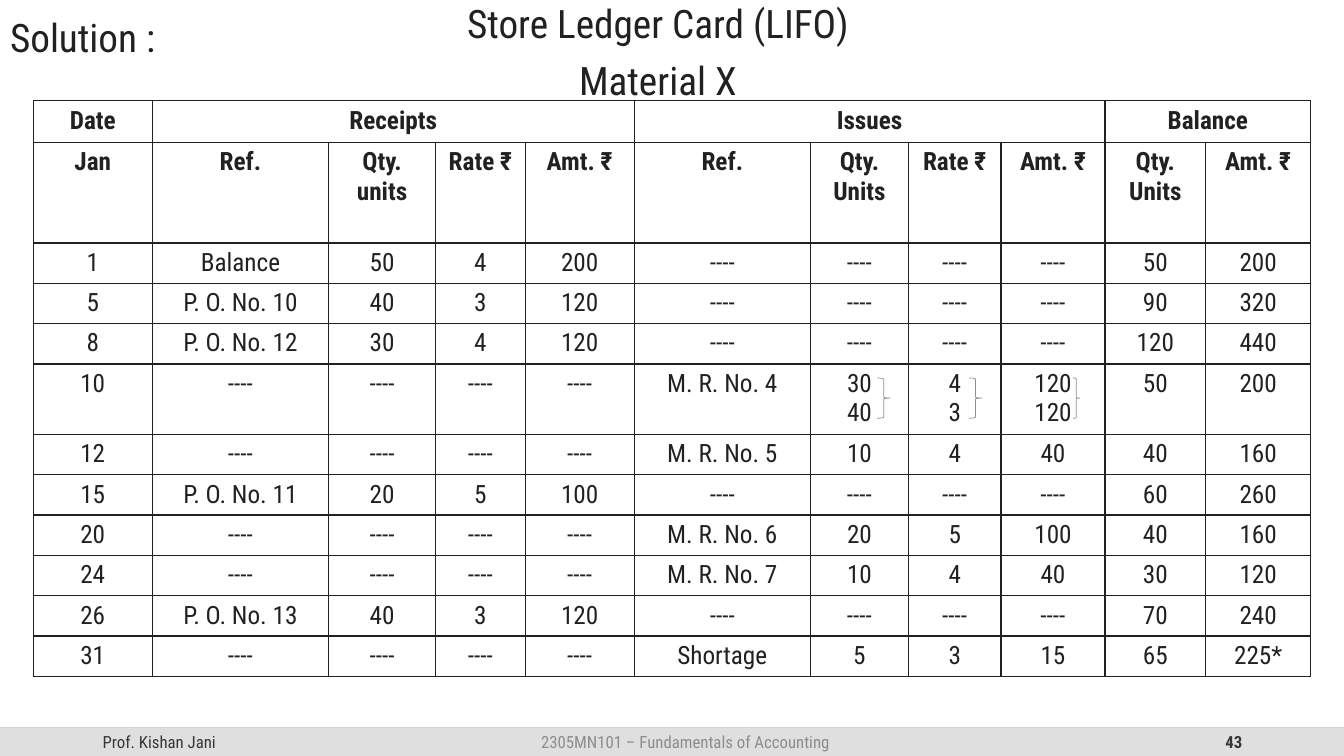
from itertools import accumulate

from lxml import etree
from pptx import Presentation
from pptx.dml.color import RGBColor
from pptx.enum.shapes import MSO_CONNECTOR, MSO_SHAPE
from pptx.enum.text import MSO_ANCHOR, MSO_AUTO_SIZE, PP_ALIGN
from pptx.oxml.ns import qn
from pptx.util import Emu, Pt

LEFT, CENTER, RIGHT = PP_ALIGN.LEFT, PP_ALIGN.CENTER, PP_ALIGN.RIGHT
TOP, MIDDLE = MSO_ANCHOR.TOP, MSO_ANCHOR.MIDDLE
NO_FIT = MSO_AUTO_SIZE.NONE
STRAIGHT = MSO_CONNECTOR.STRAIGHT
ROUND_RECT, RIGHT_BRACE = MSO_SHAPE.ROUNDED_RECTANGLE, MSO_SHAPE.RIGHT_BRACE

FONT = "Roboto Condensed"
INK, FOOT_INK, FOOT_GREY = "212121", "373737", "8D8D8D"
WIDTH, HEIGHT = 1333, 750

COLUMNS = [118, 175, 106, 89, 108, 175, 97, 92, 103, 100, 104]
GROUPS = [("Date", 1), ("Receipts", 4), ("Issues", 4), ("Balance", 2)]
HEADINGS = ["Jan", "Ref.", "Qty. units", "Rate ₹", "Amt. ₹",
            "Ref.", "Qty. Units", "Rate ₹", "Amt. ₹", "Qty. Units", "Amt. ₹"]
NONE = ["----"] * 4
ENTRIES = [
    ["1", "Balance", "50", "4", "200", *NONE, "50", "200"],
    ["5", "P. O. No. 10", "40", "3", "120", *NONE, "90", "320"],
    ["8", "P. O. No. 12", "30", "4", "120", *NONE, "120", "440"],
    ["10", *NONE, "M. R. No. 4", "30\n40", "4\n3", "120\n120", "50", "200"],
    ["12", *NONE, "M. R. No. 5", "10", "4", "40", "40", "160"],
    ["15", "P. O. No. 11", "20", "5", "100", *NONE, "60", "260"],
    ["20", *NONE, "M. R. No. 6", "20", "5", "100", "40", "160"],
    ["24", *NONE, "M. R. No. 7", "10", "4", "40", "30", "120"],
    ["26", "P. O. No. 13", "40", "3", "120", *NONE, "70", "240"],
    ["31", *NONE, "Shortage", "5", "3", "15", "65", "225*"],
]
GROUP_H, HEADING_H, ENTRY_H, SPLIT_H = 41, 100, 40, 70


def px(n):
    return Emu(n * 9144)


def color(value):
    return RGBColor.from_string(value)


def write(tf, text, size, ink=INK, align=CENTER, bold=False, spacing=None, before=None):
    for i, line in enumerate(text.split("\n")):
        p = tf.add_paragraph() if i else tf.paragraphs[0]
        p.alignment = align
        p.line_spacing = spacing
        p.space_before = before
        r = p.add_run()
        r.text = line
        r.font.size, r.font.name, r.font.bold = Pt(size), FONT, bold
        r.font.color.rgb = color(ink)


def fill_placeholder(sp, box, text, align, anchor):
    sp.left, sp.top, sp.width, sp.height = map(px, box)
    tf = sp.text_frame
    tf.auto_size, tf.vertical_anchor = NO_FIT, anchor
    write(tf, text, 28, align=align, spacing=0.9, before=Pt(0) if anchor == MIDDLE else Pt(10))
    for p in tf.paragraphs:
        pPr = p._p.get_or_add_pPr()
        pPr.set("marL", "0")
        pPr.set("indent", "0")
        etree.SubElement(pPr, qn("a:buNone"))


def border(cell):
    tcPr = cell._tc.get_or_add_tcPr()
    for side in ("a:lnL", "a:lnR", "a:lnT", "a:lnB"):
        ln = etree.SubElement(tcPr, qn(side), w=str(Pt(1)))
        solid = etree.SubElement(ln, qn("a:solidFill"))
        etree.SubElement(solid, qn("a:srgbClr"), val=INK)


def add_row(slide, x, y, widths, height, texts, bold=False):
    """One ledger line, drawn as a one-row table."""
    frame = slide.shapes.add_table(1, len(texts), px(x), px(y), px(sum(widths)), px(height))
    table = frame.table
    table.first_row = table.horz_banding = False
    table.rows[0].height = px(height)
    for col, width, cell, text in zip(table.columns, widths, table.rows[0].cells, texts):
        col.width = px(width)
        border(cell)
        cell.fill.background()
        write(cell.text_frame, text, 18, bold=bold)


def add_brace(slide, x, y, w, h):
    sp = slide.shapes.add_shape(RIGHT_BRACE, px(x), px(y), px(w), px(h))
    sp.shadow.inherit = False
    sp.fill.background()
    sp.line.color.rgb = color("909090")
    sp.line.width = Pt(0.5)


def add_ledger(slide, x, y):
    # Header rows: group widths follow from the columns they span
    edges = [0, *accumulate(span for _, span in GROUPS)]
    group_widths = [sum(COLUMNS[a:b]) for a, b in zip(edges, edges[1:])]
    add_row(slide, x, y, group_widths, GROUP_H, [name for name, _ in GROUPS], bold=True)
    y += GROUP_H
    add_row(slide, x, y, COLUMNS, HEADING_H, HEADINGS, bold=True)
    y += HEADING_H

    # Entries, with braces beside issues from two lots
    for entry in ENTRIES:
        split = any("\n" in text for text in entry)
        height = SPLIT_H if split else ENTRY_H
        add_row(slide, x, y, COLUMNS, height, entry)
        if split:
            for offset, width in ((837, 13), (928, 13), (1031, 7)):
                add_brace(slide, x + offset, y + 14, width, 40)
        y += height


def add_footer(slide, x, y, w, h):
    # Rule and grey band
    rule = slide.shapes.add_connector(STRAIGHT, px(x), px(y), px(x + w), px(y))
    rule.line.color.rgb = color("BFBFBF")
    rule.line.width = Pt(1)
    rgb = rule.line._ln.find(".//" + qn("a:srgbClr"))
    etree.SubElement(rgb, qn("a:alpha"), val="70000")
    etree.SubElement(rule._element.spPr, qn("a:effectLst"))
    band = slide.shapes.add_shape(ROUND_RECT, px(x), px(y), px(w), px(h))
    band.adjustments[0] = 0
    band.shadow.inherit = False
    band.fill.solid()
    band.fill.fore_color.rgb = color("DFDFDF")
    band.line.fill.background()

    # Author, page number and course
    for left, width, text, ink, align, bold in (
        (92, 300, "Prof. Kishan Jani", FOOT_INK, LEFT, False),
        (942, 300, "43", FOOT_INK, RIGHT, True),
        (418, 524, "2305MN101 – Fundamentals of Accounting", FOOT_GREY, CENTER, False),
    ):
        tf = slide.shapes.add_textbox(px(x + left), px(y), px(width), px(h)).text_frame
        tf.word_wrap, tf.vertical_anchor = True, MIDDLE
        write(tf, text, 12, ink, align, bold)


def main():
    prs = Presentation()
    prs.slide_width, prs.slide_height = px(WIDTH), px(HEIGHT)
    slide = prs.slides.add_slide(prs.slide_layouts[1])
    add_footer(slide, 0, 722, WIDTH, 28)
    fill_placeholder(slide.placeholders[1], (0, 0, 1305, 611),
                     "Store Ledger Card (LIFO)\nMaterial X", CENTER, TOP)
    fill_placeholder(slide.shapes.title, (0, 0, WIDTH, 78), "Solution :", LEFT, MIDDLE)
    add_ledger(slide, 33, 100)
    prs.save("out.pptx")


if __name__ == "__main__":
    main()
